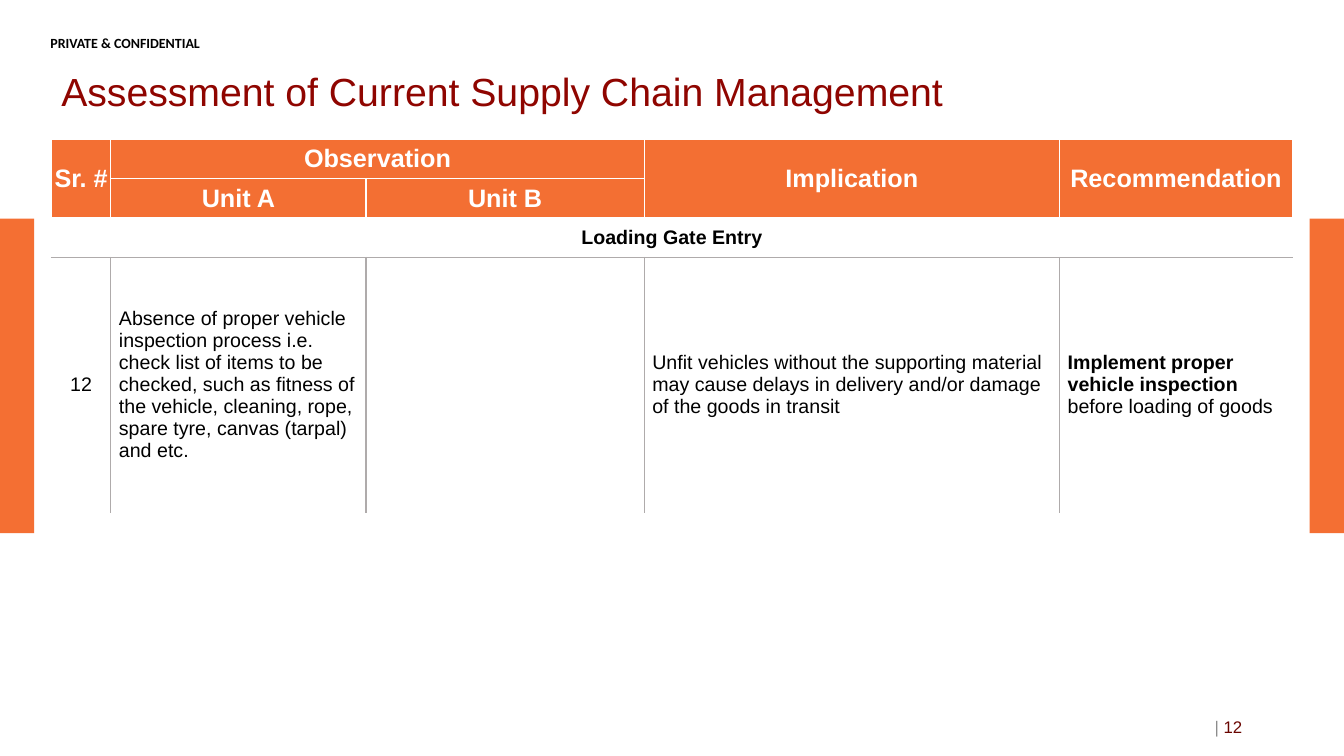
"""Build the supply chain assessment slide with its observation table."""
from lxml import etree
from pptx import Presentation
from pptx import util as u
from pptx.dml.color import RGBColor
from pptx.enum import shapes, text
from pptx.oxml.ns import qn

ORANGE = RGBColor(0xF4, 0x6F, 0x33)
HEADER_ORANGE = RGBColor(0xF3, 0x6F, 0x33)
TITLE_RED = RGBColor(0x8F, 0x05, 0x00)
PAGE_RED = RGBColor(0x6A, 0x05, 0x00)
DIVIDER_GREY = RGBColor(0x8C, 0x8C, 0x8C)
RULE_GREY = RGBColor(0xAF, 0xAB, 0xAB)
WHITE = RGBColor(0xFF, 0xFF, 0xFF)
BLACK = RGBColor(0, 0, 0)


def write(frame, words, size=14, color=BLACK, bold=False, font="Arial", align=text.PP_ALIGN.LEFT):
    frame.word_wrap = True
    frame.vertical_anchor = text.MSO_ANCHOR.MIDDLE
    paragraph = frame.paragraphs[0]
    paragraph.alignment = align
    run = paragraph.add_run()
    run.text = words
    run.font.name = font
    run.font.size = u.Pt(size)
    run.font.bold = bold
    run.font.color.rgb = color


def rule(cell, sides, color):
    for side in sides:
        line = etree.SubElement(cell._tc.get_or_add_tcPr(), qn(f"a:ln{side}"), w=str(u.Pt(1)))
        paint = etree.SubElement(line, qn("a:solidFill"))
        etree.SubElement(paint, qn("a:srgbClr"), val=str(color))


deck = Presentation()
deck.slide_width, deck.slide_height = u.Inches(13.33), u.Inches(7.5)
slide = deck.slides.add_slide(deck.slide_layouts[6])

for left in (0, 12.99):
    side_bar = slide.shapes.add_shape(shapes.MSO_SHAPE.RECTANGLE, u.Inches(left), u.Inches(2.17),
                                      u.Inches(0.34), u.Inches(3.12))
    side_bar.shadow.inherit = False
    side_bar.fill.solid()
    side_bar.fill.fore_color.rgb = ORANGE
    side_bar.line.fill.background()

confidential = slide.shapes.add_textbox(u.Inches(0.5), u.Inches(0.34), u.Inches(2.53), u.Inches(0.12)).text_frame
confidential.margin_left = confidential.margin_right = confidential.margin_top = confidential.margin_bottom = 0
write(confidential, "PRIVATE & CONFIDENTIAL", size=10, bold=True, font="Calibri")
confidential.vertical_anchor = text.MSO_ANCHOR.TOP

title = slide.shapes.add_textbox(u.Inches(0.51), u.Inches(0.58), u.Inches(10.86), u.Inches(0.71)).text_frame
write(title, "Assessment of Current Supply Chain Management", size=28, color=TITLE_RED)
title.paragraphs[0].line_spacing = 0.9

column_widths = [0.59, 2.53, 2.76, 4.12, 2.31]
row_heights = [0.39, 0.39, 0.36, 2.53]
observations = slide.shapes.add_table(len(row_heights), len(column_widths), u.Inches(0.51), u.Inches(1.38),
                                      u.Inches(sum(column_widths)), u.Inches(sum(row_heights))).table
observations.first_row = observations.horz_banding = False
for column, width in zip(observations.columns, column_widths):
    column.width = u.Inches(width)
for row, height in zip(observations.rows, row_heights):
    row.height = u.Inches(height)

last_column = len(column_widths) - 1
for r, row in enumerate(observations.rows):
    for c, cell in enumerate(row.cells):
        cell.vertical_anchor = text.MSO_ANCHOR.MIDDLE
        if r < 2:
            rule(cell, "LRTB", WHITE)
            cell.fill.solid()
            cell.fill.fore_color.rgb = HEADER_ORANGE
            cell.margin_left = cell.margin_right = cell.margin_top = u.Inches(0.01)
            cell.margin_bottom = 0
            continue
        if r == 2:
            rule(cell, "T", WHITE)
            rule(cell, "B", RULE_GREY)
        else:
            rule(cell, ("L" if c else "") + ("R" if c < last_column else "") + "T", RULE_GREY)
        cell.fill.background()
        cell.margin_left = cell.margin_right = cell.margin_top = cell.margin_bottom = u.Inches(0.08)

for first, last in [((0, 0), (1, 0)), ((0, 1), (0, 2)), ((0, 3), (1, 3)), ((0, 4), (1, 4)), ((2, 0), (2, 4))]:
    observations.cell(*first).merge(observations.cell(*last))

headings = {(0, 0): "Sr. #", (0, 1): "Observation", (0, 3): "Implication", (0, 4): "Recommendation",
            (1, 1): "Unit A", (1, 2): "Unit B"}
for place, heading in headings.items():
    write(observations.cell(*place).text_frame, heading, size=18, color=WHITE, bold=True,
          align=text.PP_ALIGN.CENTER)

write(observations.cell(2, 0).text_frame, "Loading Gate Entry", bold=True, align=text.PP_ALIGN.CENTER)
write(observations.cell(3, 0).text_frame, "12", align=text.PP_ALIGN.CENTER)
write(observations.cell(3, 1).text_frame,
      "Absence of proper vehicle inspection process i.e. check list of items to be checked, such as fitness of "
      "the vehicle, cleaning, rope, spare tyre, canvas (tarpal) and etc.")
write(observations.cell(3, 3).text_frame,
      "Unfit vehicles without the supporting material may cause delays in delivery and/or damage of the goods "
      "in transit")
recommendation = observations.cell(3, 4).text_frame
write(recommendation, "Implement proper vehicle inspection ", bold=True)
write(recommendation, "before loading of goods")

page_number = slide.shapes.add_textbox(u.Inches(9.42), u.Inches(7.01), u.Inches(3), u.Inches(0.4)).text_frame
write(page_number, "| ", size=12, color=DIVIDER_GREY, align=text.PP_ALIGN.RIGHT)
write(page_number, "12", size=12, color=PAGE_RED, align=text.PP_ALIGN.RIGHT)

deck.save("out.pptx")
